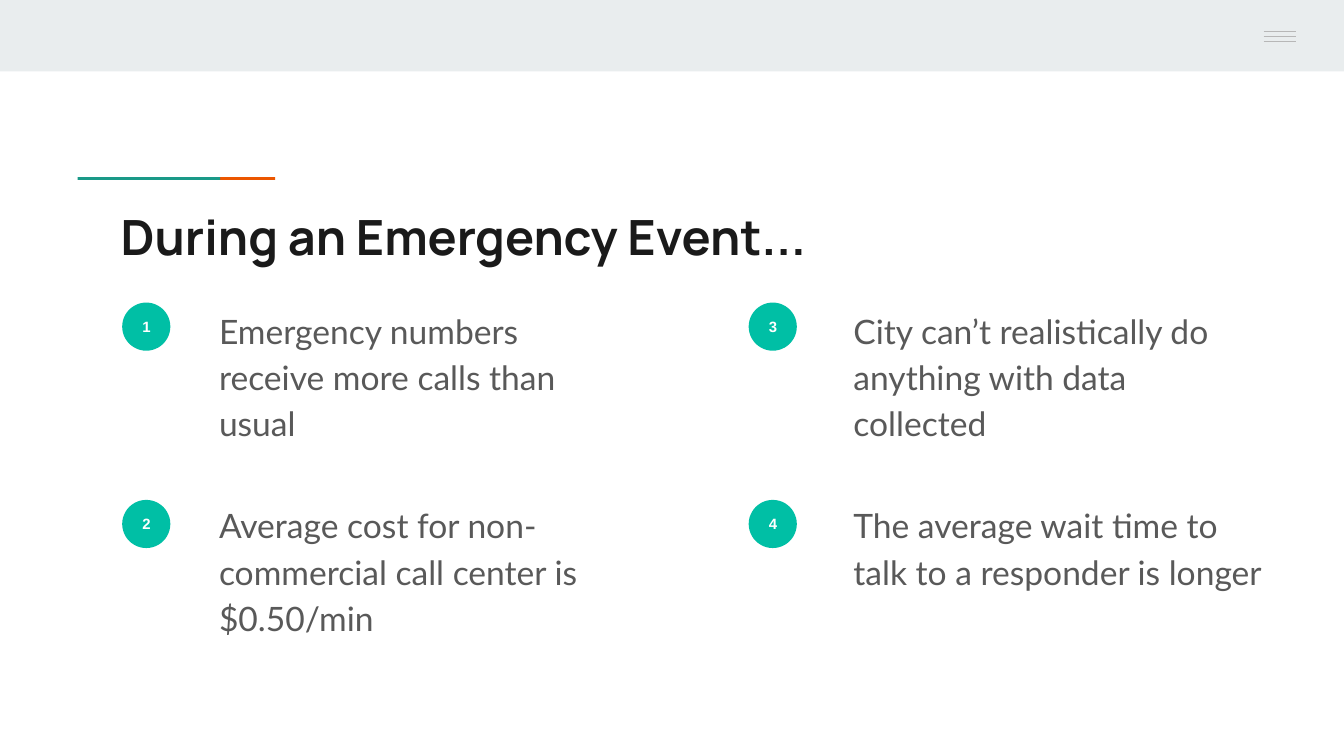
"""Build the slide on what happens during an emergency event."""
import pptx
import pptx.dml.color
import pptx.enum.shapes
import pptx.enum.text
import pptx.oxml.ns
import pptx.util
from lxml import etree

Cm = pptx.util.Cm
Pt = pptx.util.Pt
RGB = pptx.dml.color.RGBColor
Align = pptx.enum.text.PP_ALIGN
Anchor = pptx.enum.text.MSO_ANCHOR
Kind = pptx.enum.shapes.MSO_SHAPE

TITLE = "During an Emergency Event..."
POINTS = [
    ("Emergency numbers receive more calls than usual", 7.87),
    ("Average cost for non-commercial call center is $0.50/min", 7.87),
    ("City can’t realistically do anything with data collected", 7.87),
    ("The average wait time to talk to a responder is longer", 8.38),
]
DISC_X, TEXT_X = (2.31, 14.15), (3.89, 15.88)
DISC_Y, TEXT_Y = (5.72, 9.45), (5.51, 9.19)
DISC = 0.91

MIST = RGB(0xE9, 0xED, 0xEE)
ORANGE = RGB(0xEB, 0x56, 0x00)
TEAL = RGB(0x1A, 0x99, 0x88)
GREEN = RGB(0x00, 0xBF, 0xA5)
SILVER = RGB(0xB7, 0xB7, 0xB7)
INK = RGB(0x1A, 0x1A, 0x1A)
GREY = RGB(0x59, 0x59, 0x59)
WHITE = RGB(0xFF, 0xFF, 0xFF)

BLOCKS = [
    (0, 0, 25.4, 1.35, MIST),
    (2.51, 3.35, 2.69, 0.05, ORANGE),
    (1.47, 3.35, 2.69, 0.05, TEAL),
    (23.01, 0, 2.39, 1.27, MIST),
]


def write(shape, text, *, size, font, color, bold=False, align=Align.LEFT,
          anchor=Anchor.TOP, space=1.0):
    frame = shape.text_frame
    frame.word_wrap = True
    frame.auto_size = pptx.enum.text.MSO_AUTO_SIZE.NONE
    frame.vertical_anchor = anchor
    frame.margin_left = frame.margin_right = Cm(0.25)
    frame.margin_top = frame.margin_bottom = Cm(0.25)
    frame.text = text
    para = frame.paragraphs[0]
    para.alignment = align
    para.line_spacing = space
    style = para.runs[0].font
    style.size, style.name, style.bold = Pt(size), font, bold
    style.color.rgb = color


def draw(slide, kind, left, top, width, height, color):
    shape = slide.shapes.add_shape(kind, Cm(left), Cm(top), Cm(width), Cm(height))
    shape.shadow.inherit = False
    shape.fill.solid()
    shape.fill.fore_color.rgb = color
    shape.line.fill.background()
    return shape


def rule(slide, left, right, top):
    line = slide.shapes.add_connector(
        pptx.enum.shapes.MSO_CONNECTOR.STRAIGHT, Cm(left), Cm(top), Cm(right), Cm(top))
    line.line.color.rgb = SILVER
    line.line.width = Pt(0.75)
    etree.SubElement(line._element.spPr, pptx.oxml.ns.qn("a:effectLst"))


def main():
    deck = pptx.Presentation()
    deck.slide_width, deck.slide_height = Cm(25.4), Cm(14.29)
    slide = deck.slides.add_slide(deck.slide_layouts[5])

    for block in BLOCKS:
        draw(slide, Kind.RECTANGLE, *block)
    for step in range(3):
        rule(slide, 23.88, 24.49, 0.6 + 0.09 * step)

    title = slide.shapes.title
    title.left, title.top = Cm(2.03), Cm(3.66)
    title.width, title.height = Cm(21.36), Cm(1.5)
    write(title, TITLE, size=26, font="Manrope", color=INK, bold=True)

    for index, (text, width) in enumerate(POINTS):
        col, row = divmod(index, 2)
        disc = draw(slide, Kind.OVAL, DISC_X[col], DISC_Y[row], DISC, DISC, GREEN)
        write(disc, str(index + 1), size=8, font="Arial", color=WHITE, bold=True,
              align=Align.CENTER, anchor=Anchor.MIDDLE)
        box = slide.shapes.add_textbox(
            Cm(TEXT_X[col]), Cm(TEXT_Y[row]), Cm(width), Cm(2.92))
        write(box, text, size=18, font="Lato", color=GREY, space=1.15)

    deck.save("out.pptx")


if __name__ == "__main__":
    main()
